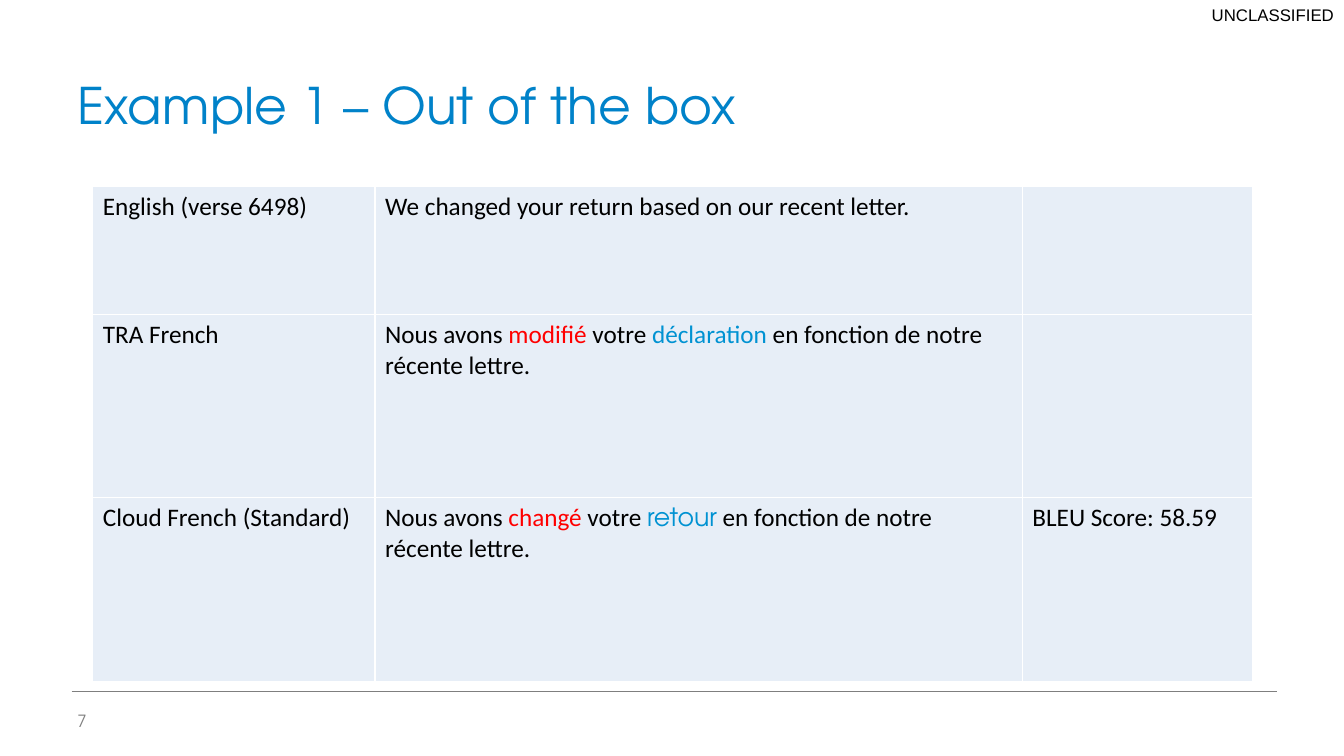
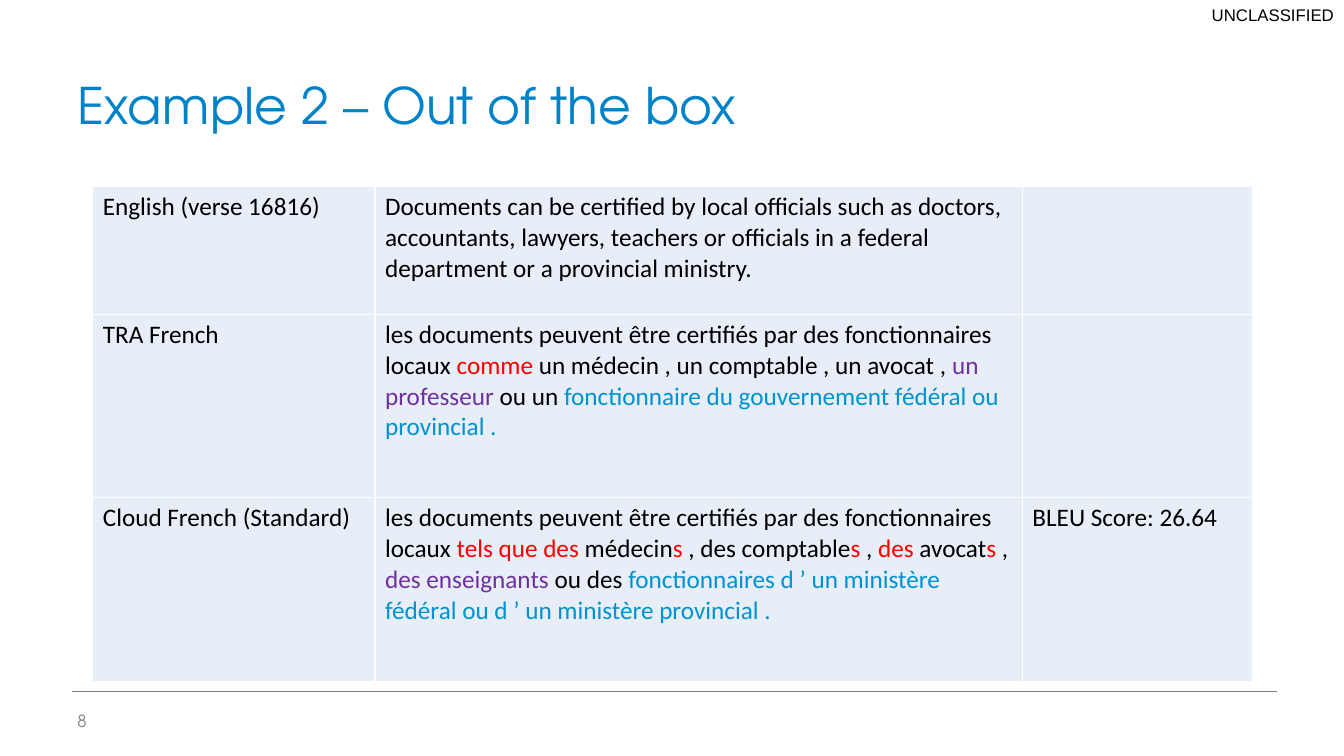
"""Build two slides comparing translations of example verses."""
import dataclasses
import typing

import lxml.etree
import pptx
import pptx.dml.color
import pptx.enum.text
import pptx.oxml.ns
import pptx.presentation
import pptx.shapes.connector
import pptx.slide
import pptx.table
import pptx.text.text
import pptx.util

Inches = pptx.util.Inches
Pt = pptx.util.Pt
qn = pptx.oxml.ns.qn
ANCHOR = pptx.enum.text.MSO_ANCHOR
ALIGN = pptx.enum.text.PP_ALIGN


@dataclasses.dataclass(frozen=True)
class Theme:
    """Colours, fonts and type sizes of the deck."""
    title: str = "0082C9"
    text: str = "000000"
    muted: str = "7F7F7F"
    red: str = "FF0000"
    blue: str = "0092D2"
    purple: str = "7030A0"
    cell: str = "E7EEF7"
    border: str = "FFFFFF"
    heading_font: str = "TeX Gyre Adventor"
    body_font: str = "Calibri"
    banner_font: str = "Arial"
    title_size: int = 36
    body_size: int = 18
    small_size: int = 12


THEME = Theme()


class Span(typing.NamedTuple):
    """A stretch of text in one colour and font."""
    text: str
    color: str = THEME.text
    font: str = THEME.body_font


class Label(typing.NamedTuple):
    """Place and style of a text box shared by the slides."""
    left: float
    top: float
    width: float
    height: float
    font: str
    size: int
    color: str
    anchor: ANCHOR = ANCHOR.TOP
    align: ALIGN = ALIGN.LEFT


@dataclasses.dataclass(frozen=True)
class Example:
    """One verse with its reference and machine translations."""
    number: int
    page: int
    verse: int
    english: str
    reference: list[Span]
    machine: list[Span]
    score: str


BANNER = Label(0, 0, 13.33, 0.3, THEME.banner_font, THEME.small_size,
               THEME.text, align=ALIGN.RIGHT)
TITLE = Label(0.67, 0.3, 12, 1.08, THEME.heading_font, THEME.title_size,
              THEME.title, ANCHOR.BOTTOM)
PAGE = Label(0.67, 6.95, 1.43, 0.4, THEME.heading_font, THEME.small_size,
             THEME.muted, ANCHOR.MIDDLE)
COLUMNS = (2.8, 6.42, 2.28)
ROWS = (1.27, 1.82, 1.82)

OPENING = Span("les documents peuvent être certifiés par des fonctionnaires locaux ")
ENDING = Span(" en fonction de notre récente lettre.")

EXAMPLES = [
    Example(
        1, 7, 6498, "We changed your return based on our recent letter.",
        [Span("Nous avons "), Span("modifié", THEME.red), Span(" votre "),
         Span("déclaration", THEME.blue), ENDING],
        [Span("Nous avons "), Span("changé", THEME.red), Span(" votre "),
         Span("retour", THEME.blue, THEME.heading_font), ENDING],
        "58.59"),
    Example(
        2, 8, 16816,
        "Documents can be certified by local officials such as doctors, "
        "accountants, lawyers, teachers or officials in a federal "
        "department or a provincial ministry.",
        [OPENING, Span("comme", THEME.red),
         Span(" un médecin , un comptable , un avocat , "),
         Span("un professeur", THEME.purple), Span(" ou un "),
         Span("fonctionnaire du gouvernement fédéral ou provincial .", THEME.blue)],
        [OPENING, Span("tels que des", THEME.red), Span(" médecin"),
         Span("s", THEME.red), Span(" , des comptable"), Span("s", THEME.red),
         Span(" , "), Span("des", THEME.red), Span(" avocat"),
         Span("s", THEME.red), Span(" , "),
         Span("des enseignants", THEME.purple), Span(" ou des "),
         Span("fonctionnaires d ’ un ministère fédéral ou d ’ un ministère "
              "provincial .", THEME.blue)],
        "26.64"),
]


def rgb(color: str) -> pptx.dml.color.RGBColor:
    """Turn a hex string into a colour."""
    return pptx.dml.color.RGBColor.from_string(color)


def style_run(r: pptx.text.text._Run, font: str, size: int, color: str) -> None:
    """Set the font, size and colour of a run."""
    r.font.name = font
    r.font.size = Pt(size)
    r.font.color.rgb = rgb(color)


def add_label(s: pptx.slide.Slide, label: Label, text: str) -> None:
    """Add a one-line text box."""
    sp = s.shapes.add_textbox(Inches(label.left), Inches(label.top),
                              Inches(label.width), Inches(label.height))
    tf = sp.text_frame
    tf.word_wrap = True
    tf.vertical_anchor = label.anchor
    tf.text = text
    p = tf.paragraphs[0]
    p.alignment = label.align
    style_run(p.runs[0], label.font, label.size, label.color)


def add_rule(s: pptx.slide.Slide) -> None:
    """Draw the thin line above the page number."""
    y = Inches(6.86)
    line = s.shapes.add_connector(pptx.enum.shapes.MSO_CONNECTOR.STRAIGHT,
                                  Inches(0.71), y, Inches(12.67), y)
    line.line.color.rgb = rgb(THEME.muted)
    line.line.width = Pt(0.25)
    lxml.etree.SubElement(line._element.spPr, qn("a:effectLst"))


def fill_cell(cell: pptx.table._Cell, spans: list[Span]) -> None:
    """Give a cell its borders, fill and text."""
    tcPr = cell._tc.get_or_add_tcPr()
    for side in ("a:lnL", "a:lnR", "a:lnT", "a:lnB"):
        ln = lxml.etree.SubElement(tcPr, qn(side), w=str(Pt(1)))
        fill = lxml.etree.SubElement(ln, qn("a:solidFill"))
        lxml.etree.SubElement(fill, qn("a:srgbClr"), val=THEME.border)
    cell.fill.solid()
    cell.fill.fore_color.rgb = rgb(THEME.cell)
    p = cell.text_frame.paragraphs[0]
    for span in spans:
        r = p.add_run()
        r.text = span.text
        style_run(r, span.font, THEME.body_size, span.color)


def add_comparison(s: pptx.slide.Slide, example: Example) -> None:
    """Add the table of source text and translations."""
    table = s.shapes.add_table(len(ROWS), len(COLUMNS), Inches(0.92), Inches(1.85),
                               Inches(sum(COLUMNS)), Inches(sum(ROWS))).table
    table.first_row = False
    table.horz_banding = False
    for column, width in zip(table.columns, COLUMNS):
        column.width = Inches(width)
    for row, height in zip(table.rows, ROWS):
        row.height = Inches(height)
    content = [
        [[Span(f"English (verse {example.verse})")], [Span(example.english)], []],
        [[Span("TRA French")], example.reference, []],
        [[Span("Cloud French (Standard)")], example.machine,
         [Span(f"BLEU Score: {example.score}")]],
    ]
    for row, cells in zip(table.rows, content):
        for cell, spans in zip(row.cells, cells):
            fill_cell(cell, spans)


def add_example(prs: pptx.presentation.Presentation, example: Example) -> None:
    """Add the slide for one example."""
    s = prs.slides.add_slide(prs.slide_layouts[6])
    add_label(s, BANNER, "UNCLASSIFIED")
    add_rule(s)
    add_label(s, TITLE, f"Example {example.number} – Out of the box")
    add_label(s, PAGE, str(example.page))
    add_comparison(s, example)


def main() -> None:
    """Build and save the deck."""
    prs = pptx.Presentation()
    prs.slide_width = Inches(13.33)
    prs.slide_height = Inches(7.5)
    for example in EXAMPLES:
        add_example(prs, example)
    prs.save("out.pptx")


if __name__ == "__main__":
    main()
